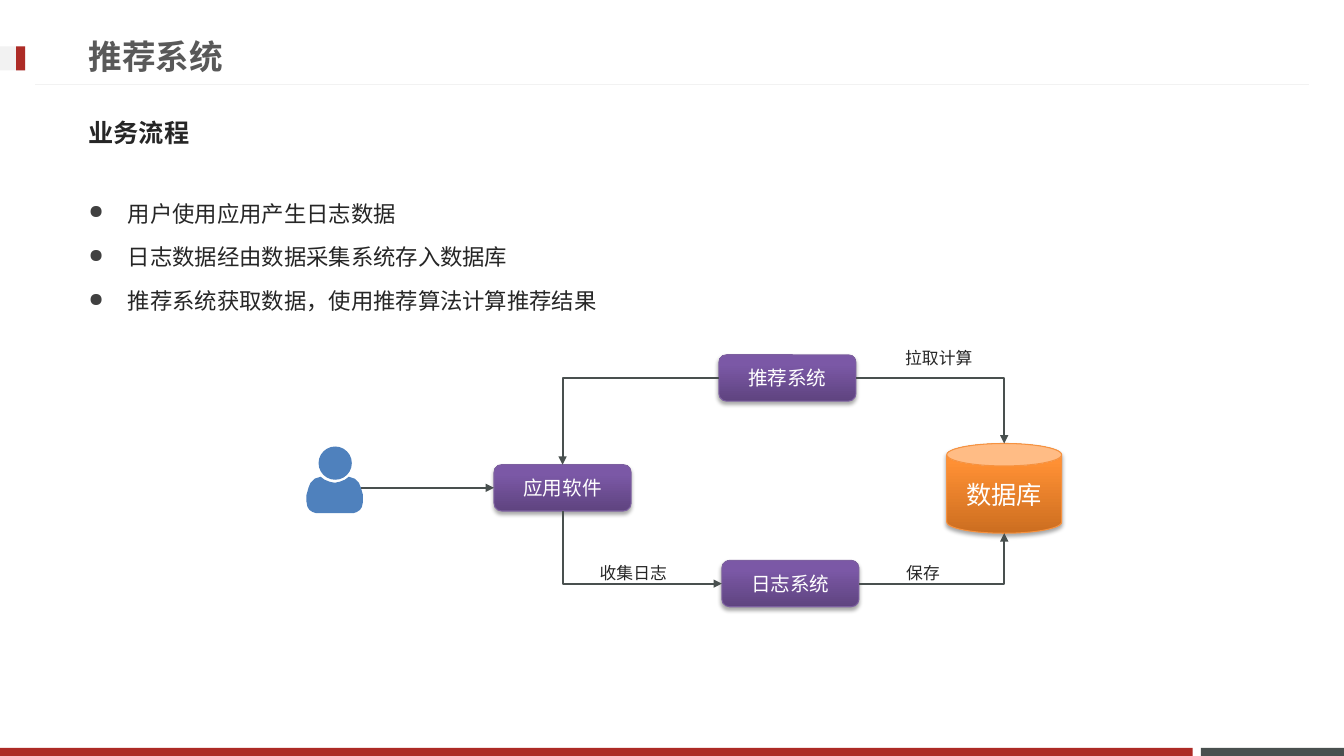
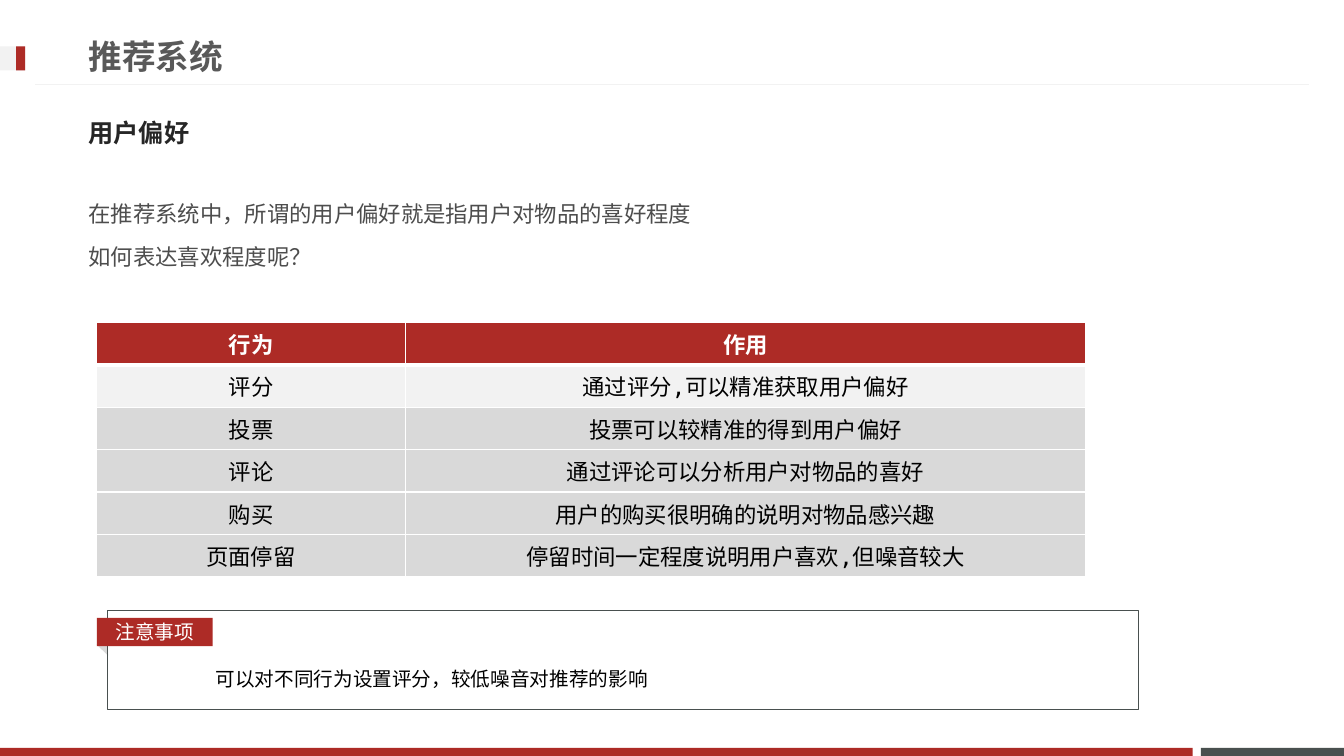
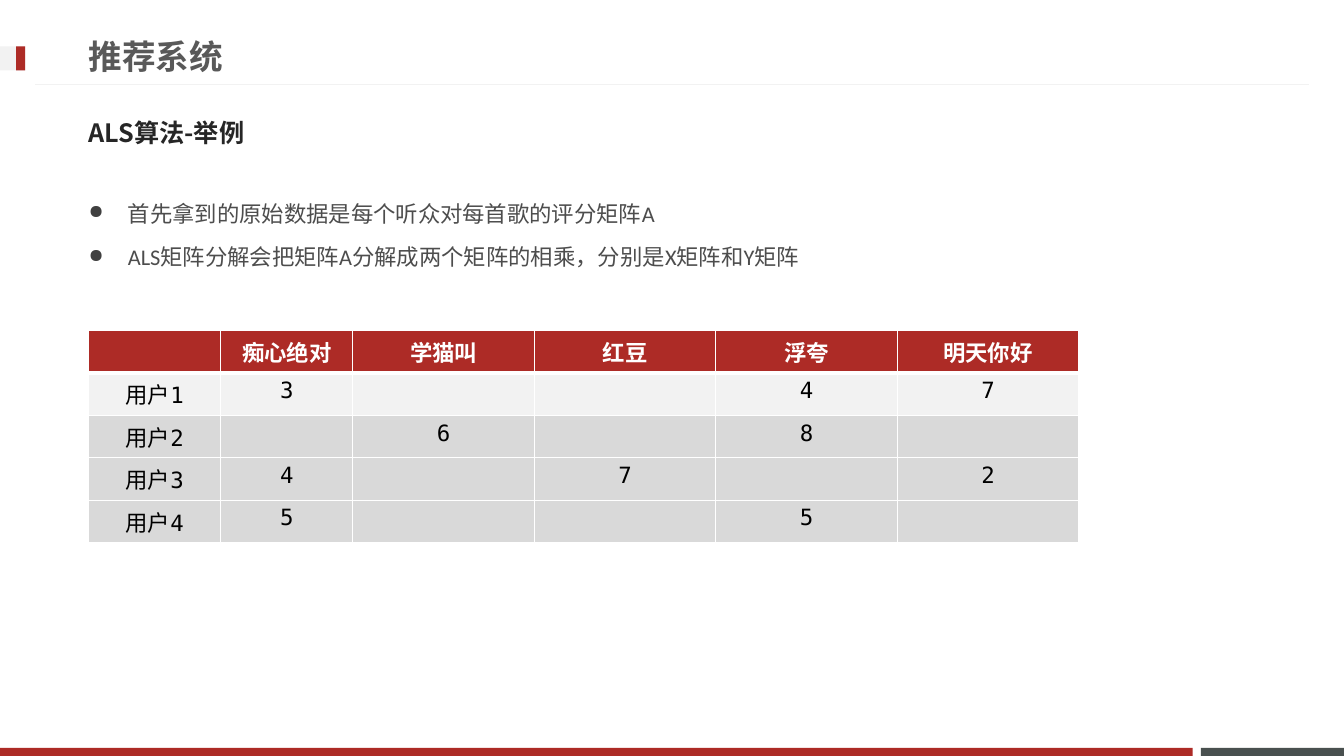
"""Build three slides about a recommender system: process, preferences and an ALS example."""
from dataclasses import dataclass

from lxml.etree import SubElement
from pptx import Presentation
from pptx.dml.color import RGBColor
from pptx.enum.lang import MSO_LANGUAGE_ID
from pptx.enum.shapes import MSO_CONNECTOR, MSO_SHAPE
from pptx.enum.text import MSO_ANCHOR, MSO_AUTO_SIZE, PP_ALIGN
from pptx.oxml.ns import qn
from pptx.util import Inches, Pt


def text_style(size, latin, east_asian, color, bold=False):
    return {"size": Pt(size), "name": latin, "bold": bold, "color": color, "east_asian": east_asian}


@dataclass(frozen=True)
class Theme:
    red = "AD2B26"
    slate = "49504F"
    pale = "F2F2F2"
    silver = "D9D9D9"
    white = "FFFFFF"
    bullet = "404040"
    person = "4F81BD"
    purple = ("5F4480", "7B58A6", "7D60A0")
    orange = ("CC6E20", "FF9034", "F69240")
    title = text_style(24, "DejaVu Sans Mono", "DejaVu Sans Mono", "595959", True)
    subtitle = text_style(18, "Noto Sans CJK JP", "Noto Sans CJK JP", "262626", True)
    body_dark = text_style(16, "Arial", "Calibri", "262626")
    body = text_style(16, "Calibri", "Calibri", "4D4D4D")
    node = text_style(14, "Calibri", "Noto Sans CJK JP", "FFFFFF")
    database = text_style(18, "Calibri", "Noto Sans CJK JP", "FFFFFF")
    label = text_style(12, "Noto Sans CJK JP", "Calibri", "262626")
    badge = text_style(14, "Arial", "Calibri", "FFFFFF")
    note = text_style(14, "Calibri", "Calibri", "000000")
    header = text_style(16, "DejaVu Sans Mono", "Noto Sans CJK JP", "FFFFFF", True)
    cell = text_style(16, "DejaVu Sans Mono", "Noto Sans CJK JP", "000000")


THEME = Theme()
TITLE = "推荐系统"

PROCESS = {
    "subtitle": "业务流程",
    "style": THEME.body_dark,
    "bulleted": True,
    "body": ["用户使用应用产生日志数据", "日志数据经由数据采集系统存入数据库", "推荐系统获取数据，使用推荐算法计算推荐结果"],
}
PREFERENCE = {
    "subtitle": "用户偏好",
    "style": THEME.body,
    "bulleted": False,
    "body": ["在推荐系统中，所谓的用户偏好就是指用户对物品的喜好程度", "如何表达喜欢程度呢？"],
}
EXAMPLE = {
    "subtitle": "ALS算法-举例",
    "style": THEME.body,
    "bulleted": True,
    "body": ["首先拿到的原始数据是每个听众对每首歌的评分矩阵A", "ALS矩阵分解会把矩阵A分解成两个矩阵的相乘，分别是X矩阵和Y矩阵"],
}

NODES = {
    "log": ("日志系统", (7.16, 5.56, 1.36, 0.46), MSO_SHAPE.ROUNDED_RECTANGLE, THEME.purple, THEME.node),
    "database": ("数据库", (9.39, 4.4, 1.14, 0.89), MSO_SHAPE.CAN, THEME.orange, THEME.database),
    "recommender": ("推荐系统", (7.13, 3.52, 1.36, 0.46), MSO_SHAPE.ROUNDED_RECTANGLE, THEME.purple, THEME.node),
    "application": ("应用软件", (4.9, 4.61, 1.36, 0.46), MSO_SHAPE.ROUNDED_RECTANGLE, THEME.purple, THEME.node),
}
BOX_SITES = {"top": 0, "left": 1, "bottom": 2, "right": 3}
CAN_SITES = {"top": 1, "left": 2, "bottom": 3}
FLOWS = [
    ("log", "right", "database", "bottom", "tailEnd"),
    ("recommender", "right", "database", "top", "tailEnd"),
    ("recommender", "left", "application", "top", "tailEnd"),
    ("log", "left", "application", "bottom", "headEnd"),
]
FLOW_LABELS = [("收集日志", 5.85, 5.43), ("保存", 8.89, 5.43), ("拉取计算", 8.88, 3.3)]
PERSON_CENTER, PERSON_TOP = 3.32, 4.43
PERSON_HALF = [
    (0, 0.66), (0.19, 0.66), (0.22, 0.65), (0.25, 0.63), (0.27, 0.6), (0.28, 0.55), (0.28, 0.48),
    (0.26, 0.41), (0.24, 0.36), (0.2, 0.32), (0.14, 0.3), (0.1, 0.33), (0.05, 0.35), (0, 0.36),
]

BEHAVIORS = [
    ("行为", "作用"),
    ("评分", "通过评分,可以精准获取用户偏好"),
    ("投票", "投票可以较精准的得到用户偏好"),
    ("评论", "通过评论可以分析用户对物品的喜好"),
    ("购买", "用户的购买很明确的说明对物品感兴趣"),
    ("页面停留", "停留时间一定程度说明用户喜欢,但噪音较大"),
]
RATINGS = [
    ("", "痴心绝对", "学猫叫", "红豆", "浮夸", "明天你好"),
    ("用户1", "3", "", "", "4", "7"),
    ("用户2", "", "6", "", "8", ""),
    ("用户3", "4", "", "7", "", "2"),
    ("用户4", "5", "", "", "5", ""),
]


def rgb(value):
    return RGBColor.from_string(value)


def lengths(values):
    return [Inches(value) for value in values]


def add_run(paragraph, text, style):
    run = paragraph.add_run()
    run.text = text
    run.font.language_id = MSO_LANGUAGE_ID.SIMPLIFIED_CHINESE
    for name, value in style.items():
        if name == "color":
            run.font.color.rgb = rgb(value)
        elif name != "east_asian":
            setattr(run.font, name, value)
    SubElement(run._r.get_or_add_rPr(), qn("a:ea"), typeface=style["east_asian"])


def add_bullet(paragraph):
    properties = paragraph._p.get_or_add_pPr()
    properties.set("marL", str(Inches(0.39)))
    properties.set("indent", str(-Inches(0.39)))
    color = SubElement(properties, qn("a:buClr"))
    SubElement(color, qn("a:srgbClr"), val=THEME.bullet)
    SubElement(properties, qn("a:buSzPct"), val="85000")
    SubElement(properties, qn("a:buChar"), char="●")


def write(shape, lines, style, bulleted=False, frame_format=None, **paragraph_format):
    frame = shape.text_frame
    frame_values = {"word_wrap": True, "auto_size": MSO_AUTO_SIZE.NONE, **(frame_format or {})}
    for name, value in frame_values.items():
        setattr(frame, name, value)
    for index, line in enumerate(lines):
        paragraph = frame.add_paragraph() if index else frame.paragraphs[0]
        if bulleted:
            add_bullet(paragraph)
        values = {**paragraph_format, "space_before": Pt(2.5 if index else 0)}
        for name, value in values.items():
            setattr(paragraph, name, value)
        add_run(paragraph, line, style)


def add_text(slide, box, lines, style, **options):
    write(slide.shapes.add_textbox(*lengths(box)), lines, style, **options)


def add_block(slide, kind, box, fill=None, outline=None):
    shape = slide.shapes.add_shape(kind, *lengths(box))
    finish(shape, fill, outline)
    return shape


def finish(shape, fill, outline=None):
    shape.shadow.inherit = False
    if fill:
        shape.fill.solid()
        shape.fill.fore_color.rgb = rgb(fill)
    else:
        shape.fill.background()
    if outline:
        shape.line.color.rgb = rgb(outline)
        shape.line.width = Pt(0.75)
    else:
        shape.line.fill.background()


def add_line(slide, kind, begin, end, color, width, arrow=None):
    connector = slide.shapes.add_connector(kind, *lengths(begin + end))
    connector.line.color.rgb = rgb(color)
    connector.line.width = Pt(width)
    if arrow:
        SubElement(connector.line._get_or_add_ln(), qn(f"a:{arrow}"), type="triangle")
    SubElement(connector.element.spPr, qn("a:effectLst"))
    return connector


def decorate_layout(slide):
    parts = [
        add_block(slide, MSO_SHAPE.RECTANGLE, box, fill)
        for box, fill in [
            ((11.91, 7.42, 1.42, 0.08), THEME.slate),
            ((0, 7.42, 11.83, 0.08), THEME.red),
            ((0, 0.46, 0.25, 0.24), THEME.pale),
            ((0.16, 0.46, 0.09, 0.24), THEME.red),
        ]
    ]
    parts.append(add_line(slide, MSO_CONNECTOR.STRAIGHT, (0.35, 0.84), (12.98, 0.84), THEME.pale, 0.75))
    for part in parts:
        slide.slide_layout.shapes.element.append(part.element)


def start_slide(presentation, content):
    slide = presentation.slides.add_slide(presentation.slide_layouts[5])
    title = slide.shapes.title
    title.left, title.top, title.width, title.height = lengths((0.78, 0.27, 9.59, 0.57))
    middle = {"vertical_anchor": MSO_ANCHOR.MIDDLE}
    write(title, [TITLE], THEME.title, frame_format=middle, alignment=PP_ALIGN.LEFT)
    add_text(slide, (0.78, 1.03, 11.76, 0.57), [content["subtitle"]], THEME.subtitle, frame_format=middle)
    body_box = (0.78, 1.8, 11.76, 0.56 * len(content["body"]))
    add_text(slide, body_box, content["body"], content["style"], bulleted=content["bulleted"], line_spacing=1.5)
    return slide


def add_node(slide, text, box, kind, colors, style):
    dark, light, outline = colors
    shape = add_block(slide, kind, box, dark, outline)
    shape.fill.gradient()
    shape.fill.gradient_angle = 90
    for stop, color, position in zip(shape.fill.gradient_stops, (dark, light), (0, 0.8)):
        stop.color.rgb = rgb(color)
        stop.position = position
    effects = shape.element.spPr.find(qn("a:effectLst"))
    shadow = SubElement(
        effects, qn("a:outerShdw"), blurRad=str(Pt(3.1)), dist=str(Pt(1.8)), dir="5400000", rotWithShape="0"
    )
    shadow_color = SubElement(shadow, qn("a:srgbClr"), val="000000")
    SubElement(shadow_color, qn("a:alpha"), val="35000")
    write(shape, [text], style, frame_format={"vertical_anchor": MSO_ANCHOR.MIDDLE}, alignment=PP_ALIGN.CENTER)
    return shape


def side_point(box, side):
    left, top, width, height = box
    return {
        "top": (left + width / 2, top),
        "left": (left, top + height / 2),
        "bottom": (left + width / 2, top + height),
        "right": (left + width, top + height / 2),
    }[side]


def add_flow(slide, shapes, source, source_side, target, target_side, arrow):
    begin = side_point(NODES[source][1], source_side)
    end = side_point(NODES[target][1], target_side)
    connector = add_line(slide, MSO_CONNECTOR.ELBOW, begin, end, THEME.slate, 1.5, arrow)
    connector.element.spPr.find(qn("a:prstGeom")).set("prst", "bentConnector2")
    target_sites = CAN_SITES if NODES[target][2] == MSO_SHAPE.CAN else BOX_SITES
    connector.begin_connect(shapes[source], BOX_SITES[source_side])
    connector.end_connect(shapes[target], target_sites[target_side])
    connector.begin_x, connector.begin_y = lengths(begin)
    connector.end_x, connector.end_y = lengths(end)


def add_person(slide):
    add_block(slide, MSO_SHAPE.OVAL, (PERSON_CENTER - 0.16, PERSON_TOP, 0.33, 0.33), THEME.person)
    outline = PERSON_HALF + [(-x, y) for x, y in reversed(PERSON_HALF[1:-1])]
    points = [lengths((PERSON_CENTER + x, PERSON_TOP + y)) for x, y in outline]
    builder = slide.shapes.build_freeform(*points[0])
    builder.add_line_segments(points[1:], close=True)
    finish(builder.convert_to_shape(), THEME.person)


def add_border(cell, edge, width):
    line = SubElement(cell._tc.get_or_add_tcPr(), qn(f"a:{edge}"), w=str(Pt(width)))
    fill = SubElement(line, qn("a:solidFill"))
    SubElement(fill, qn("a:srgbClr"), val=THEME.white)


def add_grid(slide, left, top, widths, rows):
    heights = [0.36] + [0.39] * (len(rows) - 1)
    box = lengths((left, top, sum(widths), sum(heights)))
    table = slide.shapes.add_table(len(rows), len(widths), *box).table
    table.horz_banding = False
    for column, width in zip(table.columns, widths):
        column.width = Inches(width)
    for row_index, (row, height, values) in enumerate(zip(table.rows, heights, rows)):
        row.height = Inches(height)
        fill = (THEME.red, THEME.pale)[row_index] if row_index < 2 else THEME.silver
        edges = {"lnL": 1, "lnR": 1, "lnT": 3 if row_index == 1 else 1, "lnB": 1 if row_index else 3}
        for cell, value in zip(row.cells, values):
            for edge, width in edges.items():
                add_border(cell, edge, width)
            cell.fill.solid()
            cell.fill.fore_color.rgb = rgb(fill)
            if value:
                paragraph = cell.text_frame.paragraphs[0]
                paragraph.alignment = PP_ALIGN.CENTER
                add_run(paragraph, value, THEME.cell if row_index else THEME.header)


def build_process(presentation):
    slide = start_slide(presentation, PROCESS)
    decorate_layout(slide)
    shapes = {name: add_node(slide, *node) for name, node in NODES.items()}
    add_person(slide)
    application_left = side_point(NODES["application"][1], "left")
    add_line(slide, MSO_CONNECTOR.STRAIGHT, (3.58, 4.84), application_left, THEME.slate, 1.5, "tailEnd")
    for flow in FLOWS:
        add_flow(slide, shapes, *flow)
    for text, left, top in FLOW_LABELS:
        add_text(slide, (left, top, 1.36, 0.72), [text], THEME.label, line_spacing=1.5)


def build_preference(presentation):
    slide = start_slide(presentation, PREFERENCE)
    add_grid(slide, 0.96, 3.2, [3.06, 6.75], BEHAVIORS)
    fold = add_block(slide, MSO_SHAPE.ISOSCELES_TRIANGLE, (0.96, 6.39, 0.16, 0.07), THEME.silver)
    fold.rotation = 44.2
    add_block(slide, MSO_SHAPE.RECTANGLE, (1.07, 6.06, 10.22, 0.98), outline=THEME.slate)
    badge = add_block(slide, MSO_SHAPE.RECTANGLE, (0.96, 6.13, 1.15, 0.28), THEME.red)
    middle = {"vertical_anchor": MSO_ANCHOR.MIDDLE}
    write(badge, ["注意事项"], THEME.badge, frame_format=middle, alignment=PP_ALIGN.CENTER)
    note = "可以对不同行为设置评分，较低噪音对推荐的影响"
    add_text(slide, (2.04, 6.45, 8.93, 0.36), [note], THEME.note, line_spacing=1.5)


def build_example(presentation):
    slide = start_slide(presentation, EXAMPLE)
    add_grid(slide, 0.88, 3.28, [1.31] * 2 + [1.8] * 4, RATINGS)


def main():
    presentation = Presentation()
    presentation.slide_width, presentation.slide_height = lengths((13.33, 7.5))
    for build in (build_process, build_preference, build_example):
        build(presentation)
    presentation.save("out.pptx")


if __name__ == "__main__":
    main()
